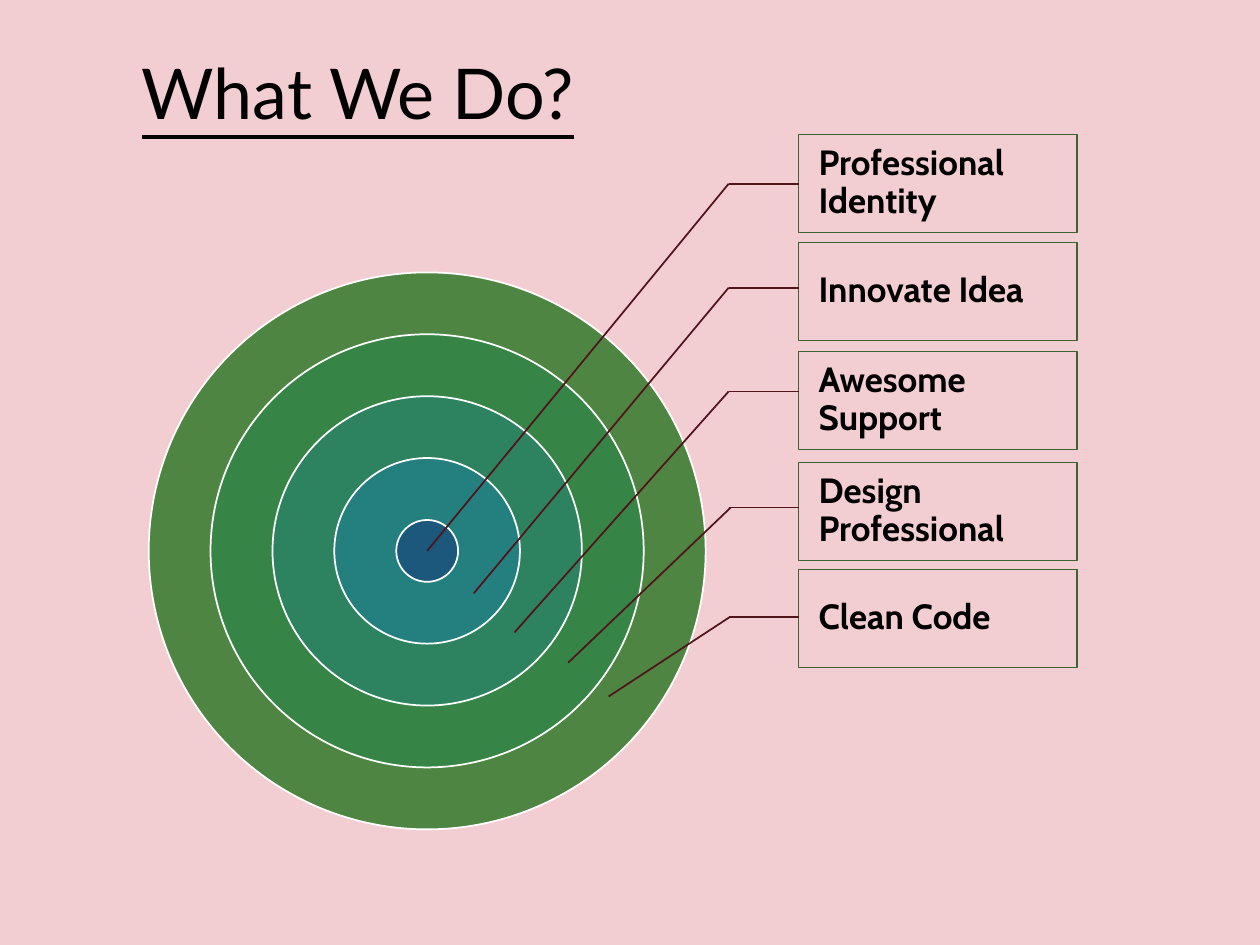
from dataclasses import dataclass

from lxml import etree
from pptx import Presentation
from pptx.dml.color import RGBColor
from pptx.enum import shapes, text
from pptx.oxml import ns
from pptx.slide import Slide
from pptx.text.text import TextFrame
from pptx.util import Pt


@dataclass(frozen=True)
class Theme:
    background: str = "F2CED2"
    ink: str = "000000"
    ring_line: str = "FFFFFF"
    label_line: str = "3B6432"
    leader: str = "50141B"
    title_font: str = "Lato"
    label_font: str = "Cabin"
    title_size: float = 40
    label_size: float = 20
    thin: float = 0.75
    regular: float = 1


@dataclass(frozen=True)
class Service:
    """A label and the leader that joins it to its ring."""
    name: str
    top: float
    leader_y: float
    bend_x: float
    tip: tuple[float, float]


THEME = Theme()
CENTRE = (244.1, 314.8)
CORE_RADIUS = 17.68
RING_COLOURS = ("1B587C", "23807E", "2D8260", "378447", "4E8542")  # core outwards

LABEL_LEFT, LABEL_WIDTH, LABEL_HEIGHT = 456.3, 159.1, 56.1
LEADER_LEFT = 416.4
SERVICES = (
    Service("Professional Identity", 76.8, 105, 416.4, CENTRE),
    Service("Innovate Idea", 138.5, 164.4, 416.4, (270.7, 339.1)),
    Service("Awesome Support", 200.8, 223.7, 416.4, (294, 361.4)),
    Service("Design Professional", 264.2, 290, 417.6, (324.7, 378.7)),
    Service("Clean Code", 325.4, 352.7, 416.9, (347.8, 398)),
)


def rgb(colour: str) -> RGBColor:
    return RGBColor.from_string(colour)


def set_text(frame: TextFrame, wording: str, font_name: str, size: float,
             bold: bool = False, underline: bool = False) -> None:
    frame.text = wording
    font = frame.paragraphs[0].runs[0].font
    font.name, font.size = font_name, Pt(size)
    font.bold, font.underline = bold, underline
    font.color.rgb = rgb(THEME.ink)


def add_title(slide: Slide) -> None:
    title = slide.shapes.add_textbox(Pt(74), Pt(24.5), Pt(310), Pt(55.5))
    title.text_frame.word_wrap = True
    set_text(title.text_frame, "What We Do?", THEME.title_font,
             THEME.title_size, underline=True)


def add_ring(slide: Slide, radius: float, colour: str) -> None:
    x, y = CENTRE
    ring = slide.shapes.add_shape(
        shapes.MSO_SHAPE.OVAL, Pt(x - radius), Pt(y - radius),
        Pt(2 * radius), Pt(2 * radius))
    ring.shadow.inherit = False
    ring.fill.solid()
    ring.fill.fore_color.rgb = rgb(colour)
    ring.line.color.rgb = rgb(THEME.ring_line)
    ring.line.width = Pt(THEME.regular)


def add_label(slide: Slide, service: Service) -> None:
    label = slide.shapes.add_shape(
        shapes.MSO_SHAPE.RECTANGLE, Pt(LABEL_LEFT), Pt(service.top),
        Pt(LABEL_WIDTH), Pt(LABEL_HEIGHT))
    label.shadow.inherit = False
    label.fill.background()
    label.line.color.rgb = rgb(THEME.label_line)
    label.line.width = Pt(THEME.thin)

    frame = label.text_frame
    frame.word_wrap = True
    frame.vertical_anchor = text.MSO_ANCHOR.MIDDLE
    frame.margin_left = Pt(11.5)
    frame.margin_top = frame.margin_right = frame.margin_bottom = Pt(2)
    set_text(frame, service.name, THEME.label_font, THEME.label_size, bold=True)
    frame.paragraphs[0].alignment = text.PP_ALIGN.LEFT
    frame.paragraphs[0].line_spacing = 0.9


def add_line(slide: Slide, start: tuple[float, float],
             end: tuple[float, float]) -> None:
    line = slide.shapes.add_connector(
        shapes.MSO_CONNECTOR.STRAIGHT, *(Pt(v) for v in start + end))
    line.line.color.rgb = rgb(THEME.leader)
    line.line.width = Pt(THEME.regular)
    etree.SubElement(line._element.spPr, ns.qn("a:effectLst"))


def add_service(slide: Slide, service: Service) -> None:
    add_label(slide, service)
    y = service.leader_y
    add_line(slide, (LEADER_LEFT, y), (LABEL_LEFT, y))
    add_line(slide, (service.bend_x, y), service.tip)


def main() -> None:
    deck = Presentation()
    deck.slide_width, deck.slide_height = Pt(720), Pt(540)
    slide = deck.slides.add_slide(deck.slide_layouts[6])
    slide.background.fill.solid()
    slide.background.fill.fore_color.rgb = rgb(THEME.background)

    add_title(slide)
    for index, colour in reversed(list(enumerate(RING_COLOURS))):
        add_ring(slide, CORE_RADIUS * (2 * index + 1), colour)
    for service in SERVICES:
        add_service(slide, service)
    deck.save("out.pptx")


if __name__ == "__main__":
    main()
